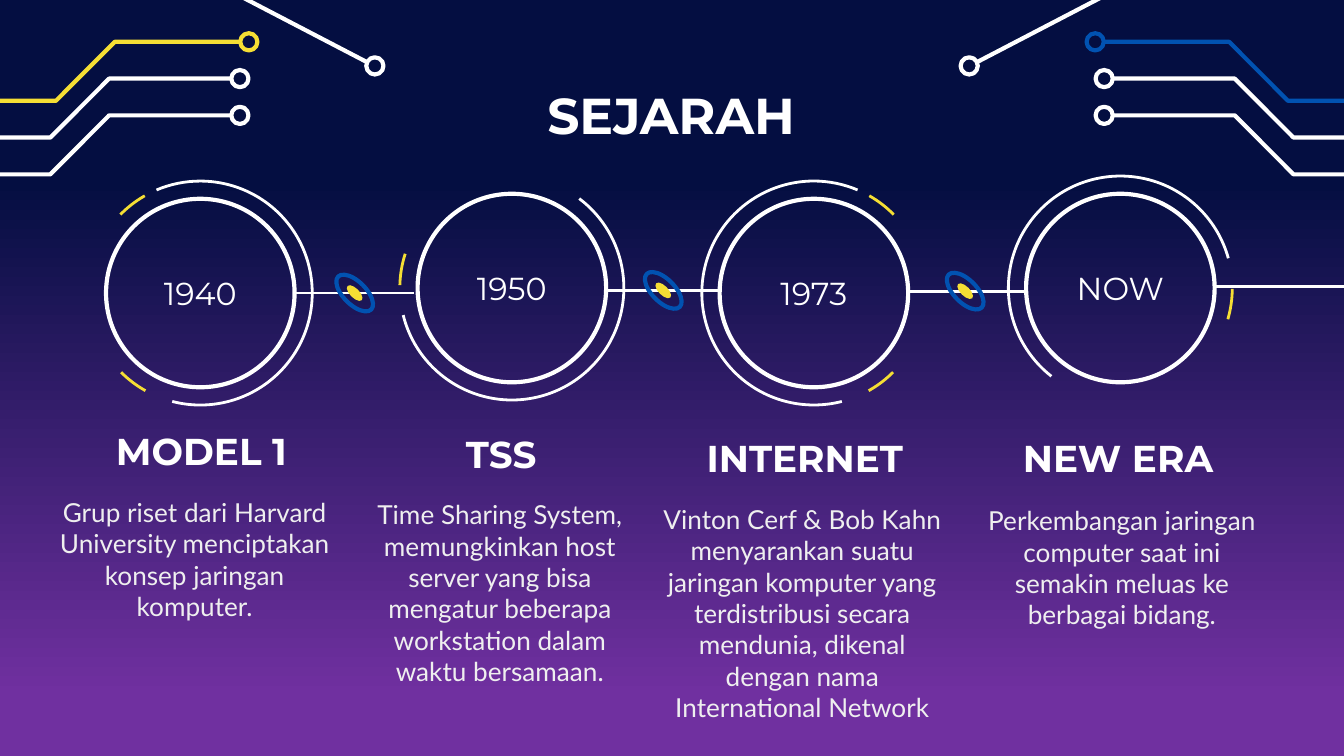
import dataclasses

import lxml.etree
import pptx
import pptx.dml.color
import pptx.enum.shapes
import pptx.enum.text
import pptx.oxml.ns
import pptx.util

Pt = pptx.util.Pt
SHAPE = pptx.enum.shapes.MSO_SHAPE
WIDTH, HEIGHT = 720, 405
RING, ARC, NODE = 101, 120, 9.2


@dataclasses.dataclass(frozen=True)
class Theme:
    navy: str = "040E41"
    purple: str = "7030A0"
    white: str = "FFFFFF"
    pale: str = "EFEFEF"
    yellow: str = "F5DE34"
    blue: str = "0152B1"
    heading_font: str = "Montserrat"
    body_font: str = "Lato"
    title_size: float = 27
    heading_size: float = 20
    year_size: float = 17
    body_size: float = 14
    thick: float = 2.25
    thin: float = 1.5


@dataclasses.dataclass(frozen=True)
class Stage:
    year: str
    center: tuple
    arcs: tuple
    heading: str
    heading_at: tuple
    body: str
    body_at: tuple


def rgb(color):
    return pptx.dml.color.RGBColor.from_string(color)


class TimelineSlide:
    """Draws the timeline elements on one slide in one style."""

    def __init__(self, slide, theme):
        self.slide, self.shapes, self.theme = slide, slide.shapes, theme

    def background(self):
        fill = self.slide.background.fill
        fill.gradient()
        fill.gradient_angle = 270
        stops = ((0.24, self.theme.navy), (0.92, self.theme.purple))
        for stop, (position, color) in zip(fill.gradient_stops, stops):
            stop.position = position
            stop.color.rgb = rgb(color)

    def outline(self, shape, color, weight):
        shape.shadow.inherit = False
        shape.fill.background()
        shape.line.color.rgb = rgb(color)
        shape.line.width = Pt(weight)
        return shape

    def centered(self, kind, center, width, height):
        x, y = center
        return self.shapes.add_shape(kind, Pt(x - width / 2), Pt(y - height / 2), Pt(width), Pt(height))

    def circle(self, center, diameter, color):
        shape = self.centered(SHAPE.OVAL, center, diameter, diameter)
        return self.outline(shape, color, self.theme.thick)

    def arc(self, center, start, end, color):
        shape = self.centered(SHAPE.ARC, center, ARC, ARC)
        for index, degrees in enumerate((start, end)):
            shape.adjustments[index] = degrees * 0.6
        self.outline(shape, color, self.theme.thin)

    def trace(self, points, color):
        first, *others = [(Pt(x), Pt(y)) for x, y in points]
        builder = self.shapes.build_freeform(*first)
        builder.add_line_segments(others, close=False)
        self.outline(builder.convert_to_shape(), color, self.theme.thick)

    def line(self, start, end, weight):
        ends = [Pt(value) for value in (*start, *end)]
        connector = self.shapes.add_connector(pptx.enum.shapes.MSO_CONNECTOR.STRAIGHT, *ends)
        connector.line.color.rgb = rgb(self.theme.white)
        connector.line.width = Pt(weight)
        lxml.etree.SubElement(connector._element.spPr, pptx.oxml.ns.qn("a:effectLst"))

    def atom(self, center):
        orbit = self.centered(SHAPE.OVAL, center, 25, 12.2)
        self.outline(orbit, self.theme.blue, self.theme.thick)
        core = self.centered(SHAPE.OVAL, center, 10.8, 5)
        core.shadow.inherit = False
        core.fill.solid()
        core.fill.fore_color.rgb = rgb(self.theme.yellow)
        core.line.fill.background()
        orbit.rotation = core.rotation = 45

    def circuit(self, mirrored, accent):
        def side(*points):
            return [(WIDTH - x if mirrored else x, y) for x, y in points]

        white = self.theme.white
        lanes = ((accent, 0, 133.3, 0), (white, -3, 128.5, 19.7), (white, -3, 128.5, 39.4))
        for color, shift, node, drop in lanes:
            top, bottom = 22.4 + drop, 54 + drop
            bends = ((-23 + shift, bottom), (30 + shift, bottom), (61.5 + shift, top))
            self.trace(side(*bends, (node - NODE / 2, top)), color)
            self.circle(side((node, top))[0], NODE, color)
        self.line(*side((130, -1.4), (197.2, 33.6)), self.theme.thick)
        self.circle(side((200.8, 35.3))[0], NODE, white)

    def text(self, shape, words, font, size, color, bold=False):
        frame = shape.text_frame
        frame.word_wrap = True
        frame.auto_size = pptx.enum.text.MSO_AUTO_SIZE.NONE
        frame.vertical_anchor = pptx.enum.text.MSO_ANCHOR.MIDDLE
        frame.margin_left = frame.margin_right = frame.margin_top = frame.margin_bottom = Pt(7.2)
        paragraph = frame.paragraphs[0]
        paragraph.alignment = pptx.enum.text.PP_ALIGN.CENTER
        paragraph.space_before = Pt(0)
        run = paragraph.add_run()
        run.text = words
        run.font.name, run.font.size, run.font.bold = font, Pt(size), bold
        run.font.color.rgb = rgb(color)
        return paragraph

    def place(self, shape, left, top, width, height):
        shape.left, shape.top, shape.width, shape.height = Pt(left), Pt(top), Pt(width), Pt(height)

    def title(self, words):
        shape = self.shapes.title
        self.place(shape, 162, 42.5, 395, 37.4)
        self.text(shape, words, self.theme.heading_font, self.theme.title_size, self.theme.white, True)

    def heading(self, words, left, top):
        shape = self.shapes.add_textbox(Pt(left), Pt(top), Pt(164), Pt(34))
        self.text(shape, words, self.theme.heading_font, self.theme.heading_size, self.theme.white, True)

    def body(self, shape, words, left, top):
        self.place(shape, left, top, 164, 42)
        paragraph = self.text(shape, words, self.theme.body_font, self.theme.body_size, self.theme.pale)
        properties = paragraph._p.get_or_add_pPr()
        properties.set("marL", "0")
        properties.set("indent", "0")
        lxml.etree.SubElement(properties, pptx.oxml.ns.qn("a:buNone"))

    def stage(self, stage, placeholder):
        ring = self.circle(stage.center, RING, self.theme.white)
        self.text(ring, stage.year, self.theme.heading_font, self.theme.year_size, self.theme.white)
        colors = (self.theme.white, self.theme.yellow, self.theme.yellow)
        for (start, end), color in zip(stage.arcs, colors):
            self.arc(stage.center, start, end, color)
        self.heading(stage.heading, *stage.heading_at)
        self.body(placeholder, stage.body, *stage.body_at)


FIRST_ARCS = ((247, 104.5), (224.5, 240.3), (119.3, 135))
MIRRORED_ARCS = tuple(((180 - end) % 360, (180 - start) % 360) for start, end in FIRST_ARCS)
STAGES = (
    Stage("1940", (107.3, 157), FIRST_ARCS, "MODEL 1", (25.9, 224.6),
          "Grup riset dari Harvard University menciptakan konsep jaringan komputer.", (22.3, 278.6)),
    Stage("1950", (274.2, 154.3), ((307, 166), (181.5, 197.8)), "TSS", (186.5, 226),
          "Time Sharing System, memungkinkan host server yang bisa mengatur beberapa "
          "workstation dalam waktu bersamaan.", (185.8, 296.6)),
    Stage("1973", (436, 157), MIRRORED_ARCS, "INTERNET", (349.2, 228),
          "Vinton Cerf & Bob Kahn menyarankan suatu jaringan komputer yang terdistribusi "
          "secara mendunia, dikenal dengan nama International Network", (347.8, 307.4)),
    Stage("NOW", (600.2, 154.3), ((128, 344.6), (0.5, 16.2)), "NEW ERA", (517, 228),
          "Perkembangan jaringan computer saat ini semakin meluas ke berbagai bidang.", (519.1, 283)),
)
LINKS = ((158.2, 221.8, 157), (324, 386.6, 155.6), (485.5, 548.6, 156))


def main():
    presentation = pptx.Presentation()
    presentation.slide_width, presentation.slide_height = Pt(WIDTH), Pt(HEIGHT)
    layout = presentation.slide_layouts.get_by_name("Comparison")
    theme = Theme()
    timeline = TimelineSlide(presentation.slides.add_slide(layout), theme)
    timeline.background()
    timeline.circuit(False, theme.yellow)
    timeline.circuit(True, theme.blue)
    timeline.title("SEJARAH")
    for number, stage in enumerate(STAGES, start=1):
        timeline.stage(stage, timeline.slide.placeholders[number])
    for start, end, y in LINKS:
        timeline.line((start, y), (end, y), theme.thin)
        timeline.atom(((start + end) / 2, y))
    timeline.line((650.5, 153.4), (782.6, 153.4), theme.thin)
    presentation.save("out.pptx")


if __name__ == "__main__":
    main()
